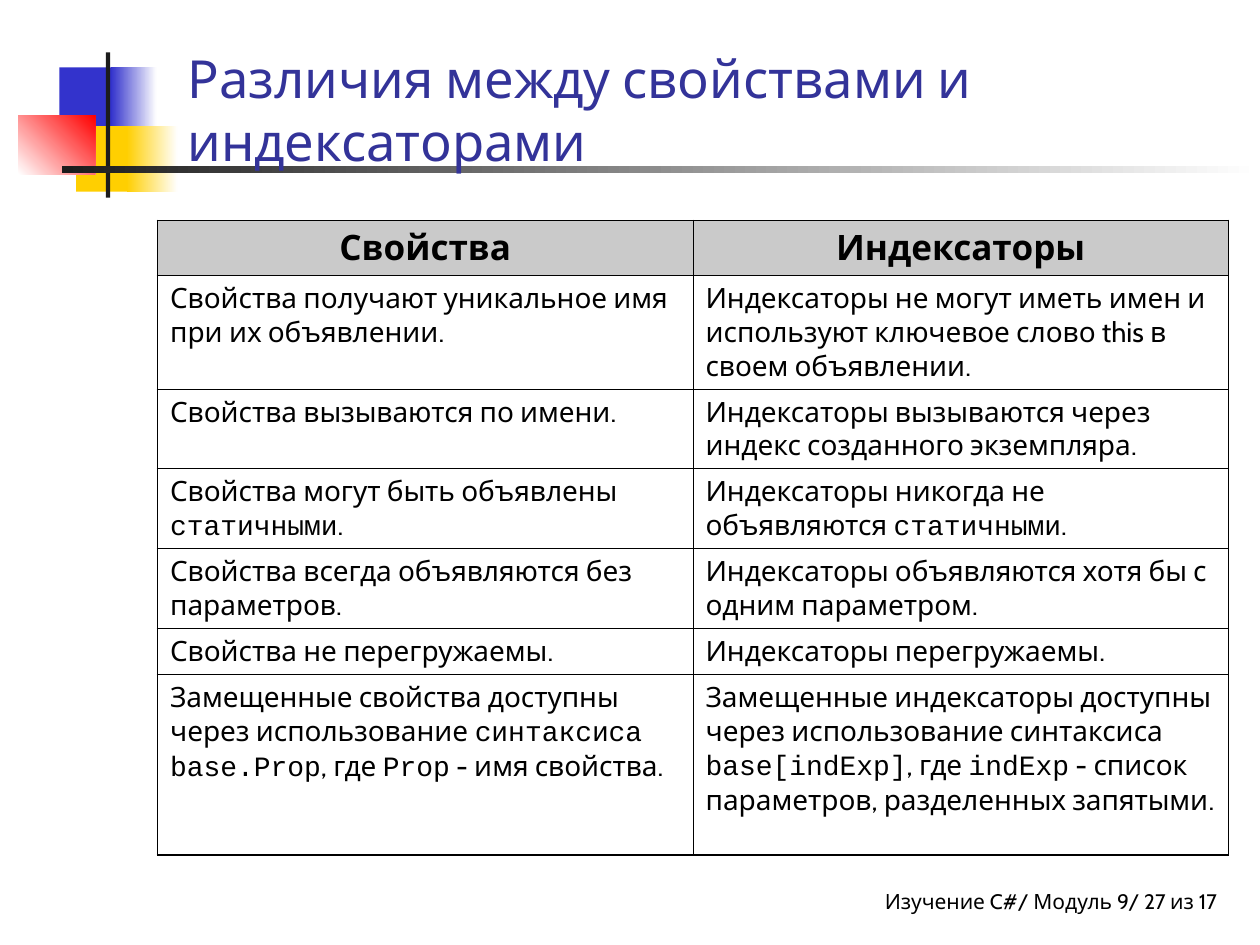
from lxml import etree
from pptx import Presentation
from pptx import util as u
from pptx.dml.color import RGBColor
from pptx.enum import shapes, text
from pptx.oxml.ns import qn

Pt = u.Pt
SANS, MONO = "Cabin", "Courier New"
BLACK, WHITE, BLUE, GOLD, DARK = "000000", "FFFFFF", "3333CC", "FFCF01", "1C1C1C"

TITLE = "Различия между свойствами и индексаторами"
FOOTER = "Изучение C#/ Модуль 9/ 27 из 17"

# Text between backticks is set in the code font.
ROWS = [
    ("Свойства", "Индексаторы"),
    ("Свойства получают уникальное имя при их объявлении.",
     "Индексаторы не могут иметь имен и используют ключевое слово this в своем объявлении."),
    ("Свойства вызываются по имени.",
     "Индексаторы вызываются через индекс созданного экземпляра."),
    ("Свойства могут быть объявлены `статичными`.",
     "Индексаторы никогда не объявляются `статичными`."),
    ("Свойства всегда объявляются без параметров.",
     "Индексаторы объявляются хотя бы с одним параметром."),
    ("Свойства не перегружаемы.", "Индексаторы перегружаемы."),
    ("Замещенные свойства доступны через использование "
     "`синтаксиса base.Prop`, где `Prop` - имя свойства.",
     "Замещенные индексаторы доступны через использование синтаксиса "
     "`base[indExp]`, где `indExp` - список параметров, разделенных запятыми."),
]
HEIGHTS = [31, 65, 45.5, 45.5, 45.5, 26.5, 103]
COL = 306

# left, top, width, height, colours (two make a gradient), angle
DECOR = [
    (34, 38.5, 34.5, 37.5, [BLUE], 0),
    (63.5, 38.5, 26, 37.5, [BLUE, WHITE], 0),
    (43.5, 72, 33, 37.5, [GOLD], 0),
    (72.5, 72, 29, 37.5, [GOLD, WHITE], 0),
    (10.5, 66, 44, 33.5, [WHITE, "FF0000"], 45),
    (60.5, 30, 2.5, 83, [DARK], 0),
    (35.5, 95, 684.5, 4, [DARK, WHITE], 0),
]


def rgb(code):
    return RGBColor.from_string(code)


def write(par, words, size, color=BLACK, bold=False):
    """Add runs, switching to the code font between backticks."""
    for i, part in enumerate(words.split("`")):
        run = par.add_run()
        run.text = part
        font = run.font
        font.name = MONO if i % 2 else SANS
        font.size, font.bold = Pt(size), bold
        font.color.rgb = rgb(color)


def label(slide, box, words, size, color, align, anchor, right):
    frame = slide.shapes.add_textbox(*map(Pt, box)).text_frame
    frame.word_wrap = True
    frame.vertical_anchor = anchor
    frame.margin_right = Pt(right)
    par = frame.paragraphs[0]
    par.alignment = align
    write(par, words, size, color)


def block(slide, box, colors, angle):
    shape = slide.shapes.add_shape(shapes.MSO_SHAPE.RECTANGLE, *map(Pt, box))
    shape.shadow.inherit = False
    shape.line.fill.background()
    fill = shape.fill
    if len(colors) == 1:
        fill.solid()
        fill.fore_color.rgb = rgb(colors[0])
        return
    fill.gradient()
    fill.gradient_angle = angle
    for stop, color, pos in zip(fill.gradient_stops, colors, (0, 1)):
        stop.color.rgb = rgb(color)
        stop.position = pos


def border(cell, widths):
    """Draw the left, right, top and bottom edges, ahead of the cell's fill."""
    props = cell._tc.get_or_add_tcPr()
    for i, (side, width) in enumerate(zip("LRTB", widths)):
        line = etree.Element(qn(f"a:ln{side}"), w=str(int(Pt(width))))
        solid = etree.SubElement(line, qn("a:solidFill"))
        etree.SubElement(solid, qn("a:srgbClr"), val=BLACK)
        props.insert(i, line)


def grid(slide):
    last = len(ROWS) - 1
    table = slide.shapes.add_table(
        len(ROWS), 2, Pt(90), Pt(126), Pt(2 * COL), Pt(sum(HEIGHTS))).table
    for col in table.columns:
        col.width = Pt(COL)
    for r, (row, high) in enumerate(zip(ROWS, HEIGHTS)):
        table.rows[r].height = Pt(high)
        head = r == 0
        for c, words in enumerate(row):
            cell = table.cell(r, c)
            par = cell.text_frame.paragraphs[0]
            par.space_before = Pt(5 if head else 4)
            par.alignment = text.PP_ALIGN.CENTER if head else text.PP_ALIGN.LEFT
            write(par, words, 20 if head else 16, bold=head)
            if head:
                cell.fill.solid()
                cell.fill.fore_color.rgb = rgb("969696")
                tint = cell._tc.tcPr.find(".//" + qn("a:srgbClr"))
                etree.SubElement(tint, qn("a:alpha"), val="50000")
            else:
                cell.fill.background()
            outer = (c == 0, c == 1, head, r == last)
            border(cell, [1.08 if edge else 0.45 for edge in outer])


def main():
    deck = Presentation()
    deck.slide_width, deck.slide_height = Pt(720), Pt(540)
    slide = deck.slides.add_slide(deck.slide_layouts[6])
    label(slide, (330, 504, 365.5, 24), FOOTER, 12, BLACK,
          text.PP_ALIGN.RIGHT, text.MSO_ANCHOR.TOP, 0)
    for *box, colors, angle in DECOR:
        block(slide, box, colors, angle)
    label(slide, (100, 12, 613.5, 90), TITLE, 30, "333399",
          text.PP_ALIGN.LEFT, text.MSO_ANCHOR.BOTTOM, 7.2)
    grid(slide)
    deck.save("out.pptx")


if __name__ == "__main__":
    main()
